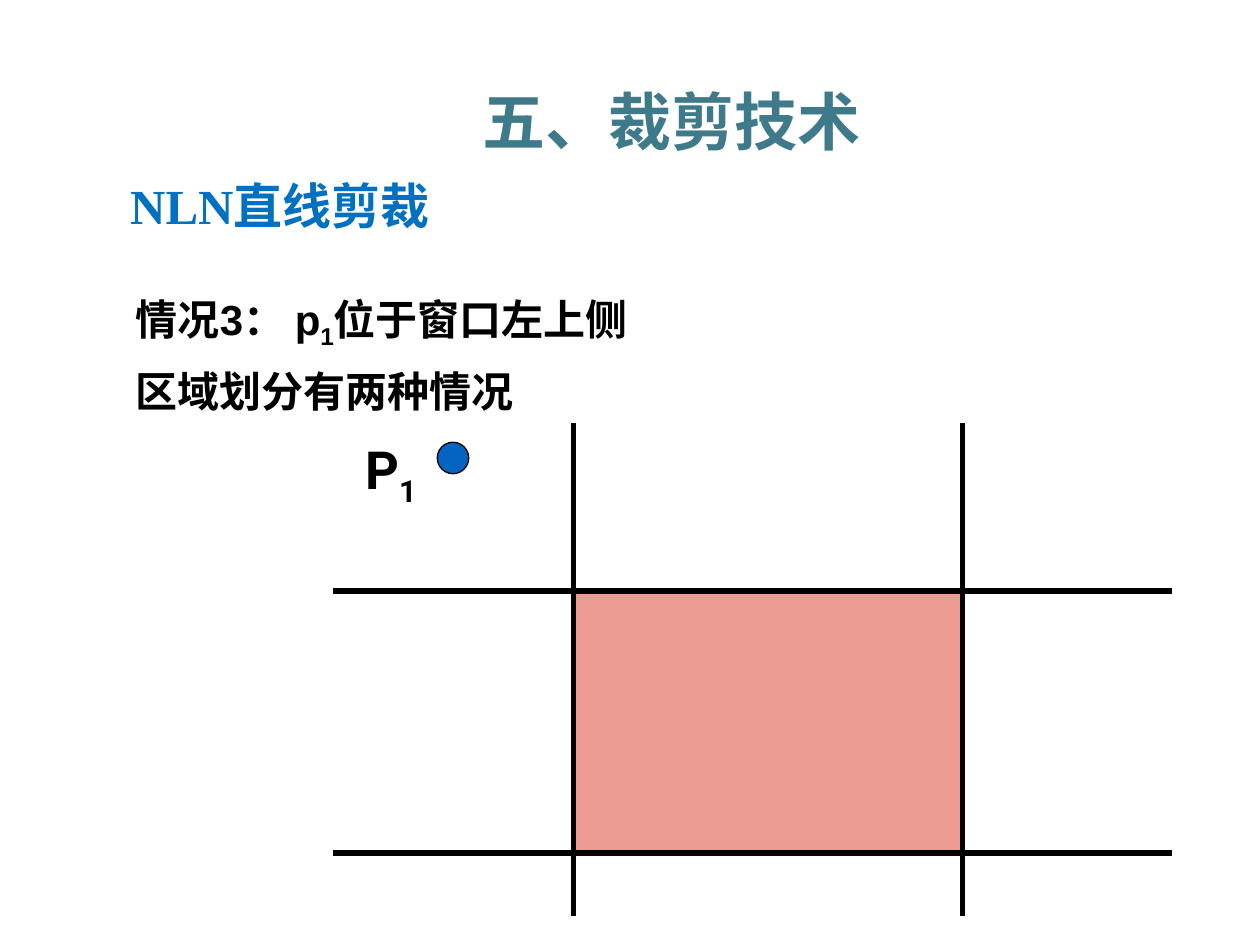
from lxml import etree
from pptx import Presentation
from pptx.dml.color import RGBColor
from pptx.enum import shapes, text
from pptx.oxml import ns
from pptx.util import Inches, Pt

HUES = {"title": "3F7A8B", "head": "0070C0", "ink": "000000",
        "pane": "ED9C94", "dot": "0563C1"}
CJK = "Noto Sans CJK SC"
LEFT, MID = text.PP_ALIGN.LEFT, text.PP_ALIGN.CENTER
TOP, CORE, BASE = (text.MSO_ANCHOR.TOP, text.MSO_ANCHOR.MIDDLE,
                   text.MSO_ANCHOR.BOTTOM)


def tint(name):
    """Return the named colour."""
    return RGBColor.from_string(HUES[name])


def write(slide, box, lines, size, face, hue="ink", align=LEFT,
          anchor=TOP, wrap=True, space=1):
    """Place bold text; each line is a list of runs, every second one subscript."""
    frame = slide.shapes.add_textbox(*map(Inches, box)).text_frame
    frame.word_wrap = wrap
    frame.vertical_anchor = anchor
    for i, line in enumerate(lines):
        para = frame.add_paragraph() if i else frame.paragraphs[0]
        para.alignment = align
        para.line_spacing = space
        for j, part in enumerate(line):
            run = para.add_run()
            run.text = part
            font = run.font
            font.size, font.name, font.bold = Pt(size), face, True
            font.color.rgb = tint(hue)
            props = run._r.get_or_add_rPr()
            etree.SubElement(props, ns.qn("a:ea")).set("typeface", CJK)
            if j % 2:
                props.set("baseline", "-25000")


def shape(slide, kind, box, hue):
    """Add a filled shape with a thin dark outline."""
    item = slide.shapes.add_shape(kind, *map(Inches, box))
    item.shadow.inherit = False
    item.fill.solid()
    item.fill.fore_color.rgb = tint(hue)
    item.line.color.rgb = tint("ink")
    item.line.width = Pt(0.75)


def rule(slide, *ends):
    """Add a thick straight line."""
    line = slide.shapes.add_connector(
        shapes.MSO_CONNECTOR.STRAIGHT, *map(Inches, ends))
    line.line.color.rgb = tint("ink")
    line.line.width = Pt(3)
    etree.SubElement(line._element.spPr, ns.qn("a:effectLst"))


def window(slide, x, y, wide, high):
    """Draw the clip window, its extended edges and the point P1."""
    left, right = x + 1.91, x + 5
    upper, lower = y + 1.33, y + 3.41
    shape(slide, shapes.MSO_SHAPE.RECTANGLE,
          (left, upper, right - left, lower - upper), "pane")
    write(slide, (x + 0.16, y + 0.06, 0.65, 0.6), [["P", "1"]], 30,
          "Roboto", wrap=False)
    shape(slide, shapes.MSO_SHAPE.OVAL,
          (x + 0.83, y + 0.15, 0.25, 0.25), "dot")
    for edge in (left, right):
        rule(slide, edge, y, edge, y + high)
    for edge in (upper, lower):
        rule(slide, x, edge, x + wide, edge)


def main():
    """Build the slide and save it."""
    deck = Presentation()
    deck.slide_width, deck.slide_height = Inches(10), Inches(7.5)
    slide = deck.slides.add_slide(deck.slide_layouts[6])
    write(slide, (0.98, 2.14, 7.92, 1.15),
          [["情况3： p", "1", "位于窗口左上侧"], ["区域划分有两种情况"]],
          24, "Arial", space=1.3)
    write(slide, (-0.43, 1.07, 5.3, 0.84), [["NLN直线剪裁"]], 28,
          "Times New Roman", "head", MID, BASE)
    window(slide, 2.64, 3.36, 6.66, 3.91)
    write(slide, (0.66, 0.6, 9.34, 0.71), [["五、裁剪技术"]], 36,
          CJK, "title", MID, CORE)
    deck.save("out.pptx")


if __name__ == "__main__":
    main()
